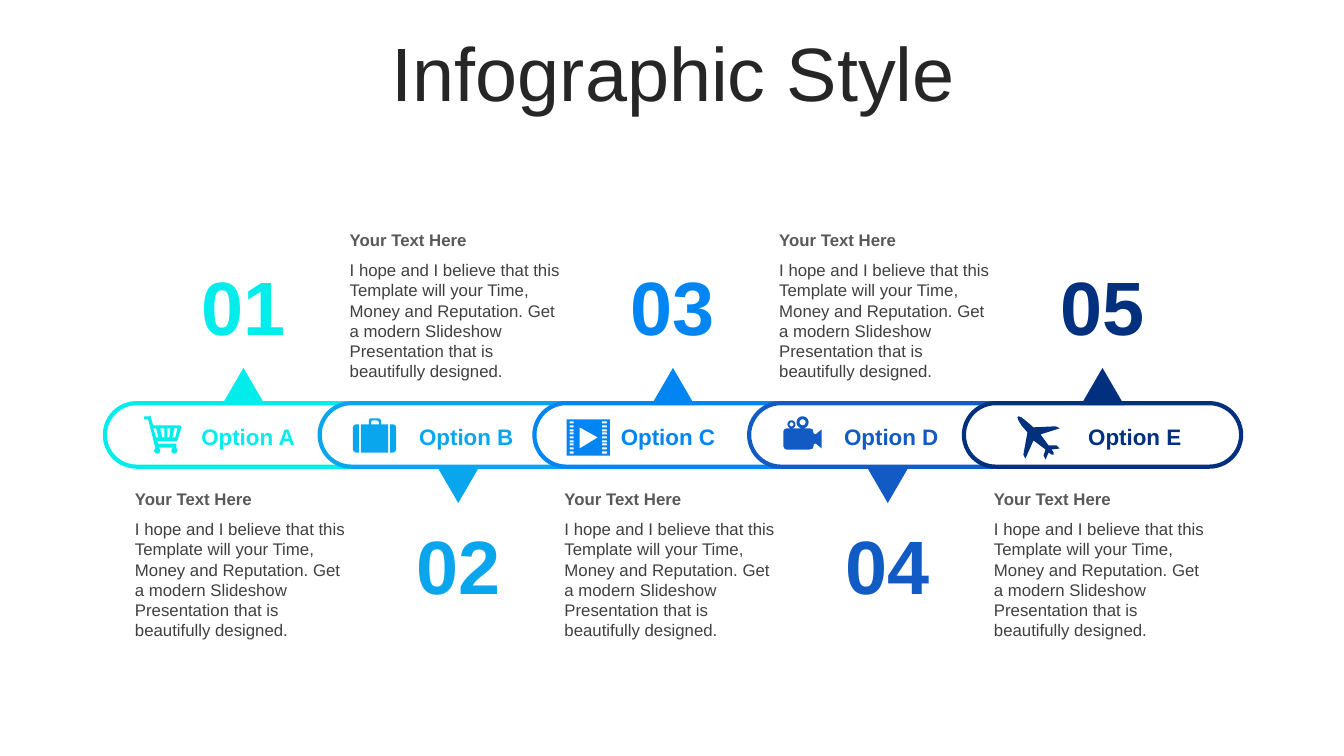
import math

import pptx
import pptx.dml.color
import pptx.enum.shapes
import pptx.enum.text
import pptx.util

RGB = pptx.dml.color.RGBColor
SHAPE = pptx.enum.shapes.MSO_SHAPE
ALIGN = pptx.enum.text.PP_ALIGN

PX = 9144
FONT = "Arial"
WHITE = RGB(0xFF, 0xFF, 0xFF)
TITLE = RGB(0x26, 0x26, 0x26)
HEADING = RGB(0x59, 0x59, 0x59)
BODY = RGB(0x40, 0x40, 0x40)
CYAN = RGB(0x02, 0xEC, 0xEC)
SKY = RGB(0x0A, 0xA6, 0xED)
AZURE = RGB(0x00, 0x85, 0xF2)
ROYAL = RGB(0x12, 0x5A, 0xC4)
NAVY = RGB(0x00, 0x30, 0x7E)

PILL_W, PILL_H, PITCH = 275, 63, 213
DESCRIPTION = (
    "I hope and I believe that this Template will your Time, Money and "
    "Reputation. Get a modern Slideshow Presentation that is beautifully designed."
)


def px(n):
    return pptx.util.Emu(round(n * PX))


def rect(x, y, w, h):
    return [(x, y), (x + w, y), (x + w, y + h), (x, y + h)]


def circle(cx, cy, r, steps=24):
    angles = [2 * math.pi * k / steps for k in range(steps)]
    return [(cx + r * math.cos(a), cy + r * math.sin(a)) for a in angles]


def cart():
    return [
        [(6, 0), (9, 10), (36, 10), (37, 12), (33, 25), (32, 26), (13, 26), (14, 28),
         (32, 28), (32, 32), (11, 32), (4, 4), (0, 4), (0, 1), (5, 1)],
        [(30, 13), (28, 22), (31, 22), (33, 13)],
        [(23, 13), (23, 22), (25, 22), (26, 13)],
        [(16, 13), (18, 22), (20, 22), (20, 13)],
        [(9, 13), (12, 22), (14, 22), (12, 13)],
        circle(13, 35, 3),
        circle(30, 35, 3),
    ]


def suitcase():
    right = [(37, 6), (40, 6), (42, 7), (43, 9), (43, 31), (42, 33), (40, 34), (37, 34)]
    left = [(43 - x, y) for x, y in right]
    handle = [(16, 6), (16, 2), (17, 0), (26, 0), (28, 2), (28, 6), (26, 6), (26, 4),
              (24, 2), (19, 2), (18, 4), (18, 6)]
    return [left, right, rect(8, 6, 27, 28), handle]


def film():
    holes = [rect(x, round(2 + 3.75 * k), w, 2) for k in range(9) for x, w in ((3, 4), (35, 5))]
    return [rect(0, 0, 43, 36), [(13, 8), (13, 29), (31, 18)]] + holes


def camera():
    body = [(3, 12), (26, 12), (29, 13), (30, 17), (32, 18), (38, 13), (38, 32), (32, 27),
            (30, 28), (30, 30), (29, 32), (26, 33), (3, 33), (1, 32), (0, 30), (0, 15), (1, 13)]
    return [body, circle(8, 8, 4), circle(8, 8, 2), circle(19, 6, 6), circle(19, 6, 3)]


def plane():
    return [[(42, 32), (34, 33), (36, 36), (36, 38), (34, 38), (31, 36), (28, 43), (26, 39),
             (28, 33), (16, 24), (8, 42), (6, 38), (10, 16), (4, 9), (1, 4), (0, 1), (1, 0),
             (4, 1), (9, 5), (16, 11), (38, 10), (42, 12), (23, 18), (31, 29), (39, 29)]]


# label offset, label width, icon offset from the pill's corner
OPTIONS = [
    ("Option A", CYAN, 76, 132, cart, 39, 12),
    ("Option B", SKY, 81, 129, suitcase, 33, 15),
    ("Option C", AZURE, 72, 121, film, 32, 16),
    ("Option D", ROYAL, 75, 132, camera, 34, 13),
    ("Option E", NAVY, 109, 121, plane, 53, 13),
]


def format_text(tf, text, size, color, bold=False, align=ALIGN.LEFT):
    tf.word_wrap = True
    tf.text = text
    p = tf.paragraphs[0]
    p.alignment = align
    p.font.name = FONT
    p.font.size = pptx.util.Pt(size)
    p.font.bold = bold
    p.font.color.rgb = color
    return p


def add_text(slide, x, y, w, h, *style):
    box = slide.shapes.add_textbox(px(x), px(y), px(w), px(h))
    format_text(box.text_frame, *style)


def add_preset(slide, kind, x, y, w, h, fill, line=None):
    sp = slide.shapes.add_shape(kind, px(x), px(y), px(w), px(h))
    paint(sp, fill)
    if line is not None:
        sp.line.color.rgb = line
        sp.line.width = pptx.util.Pt(3)
    return sp


def paint(sp, fill):
    sp.shadow.inherit = False
    sp.fill.solid()
    sp.fill.fore_color.rgb = fill
    sp.line.fill.background()


def add_icon(slide, x, y, contours, color):
    outlines = [[(px(x + dx), px(y + dy)) for dx, dy in c] for c in contours]
    first, *others = outlines
    builder = slide.shapes.build_freeform(*first[0], scale=1.0)
    builder.add_line_segments(first[1:], close=True)
    for outline in others:
        builder.move_to(*outline[0])
        builder.add_line_segments(outline[1:], close=True)
    paint(builder.convert_to_shape(), color)


def add_title(slide, x, y, w, h):
    sp = slide.shapes.title
    sp.left, sp.top, sp.width, sp.height = px(x), px(y), px(w), px(h)
    tf = sp.text_frame
    tf.auto_size = pptx.enum.text.MSO_AUTO_SIZE.NONE
    tf.vertical_anchor = pptx.enum.text.MSO_ANCHOR.MIDDLE
    p = format_text(tf, "Infographic Style", 54, TITLE, False, ALIGN.CENTER)
    p.line_spacing = 0.9


def add_option(slide, x, y, number, option):
    label, color, label_dx, label_w, icon, icon_dx, icon_dy = option
    points_up = number % 2 == 1
    above, below = y - 147, y + 110
    number_y, text_y = (above, below) if points_up else (below, above)

    pill = add_preset(slide, SHAPE.ROUNDED_RECTANGLE, x, y, PILL_W, PILL_H, WHITE, color)
    pill.adjustments[0] = 0.5
    pointer_y = y - 35 if points_up else y + 62
    pointer = add_preset(slide, SHAPE.ISOSCELES_TRIANGLE, x + 116, pointer_y, 43, 37, color)
    pointer.rotation = 0 if points_up else 180

    add_icon(slide, x + icon_dx, y + icon_dy, icon(), color)
    add_text(slide, x + label_dx, y + 15, label_w, 37, label, 16, color, True, ALIGN.CENTER)
    add_text(slide, x + 82, number_y, 111, 101, f"{number:02d}", 54, color, True, ALIGN.CENTER)
    add_text(slide, x + 20, text_y - 30, 233, 30, "Your Text Here", 12, HEADING, True)
    add_text(slide, x + 20, text_y, 235, 131, DESCRIPTION, 12, BODY)


def main():
    prs = pptx.Presentation()
    prs.slide_width, prs.slide_height = px(1333), px(750)
    slide = prs.slides.add_slide(prs.slide_layouts[5])
    add_title(slide, 35, 37, 1266, 79)
    for i, option in enumerate(OPTIONS):
        add_option(slide, 104 + PITCH * i, 400, i + 1, option)
    prs.save("out.pptx")


if __name__ == "__main__":
    main()
